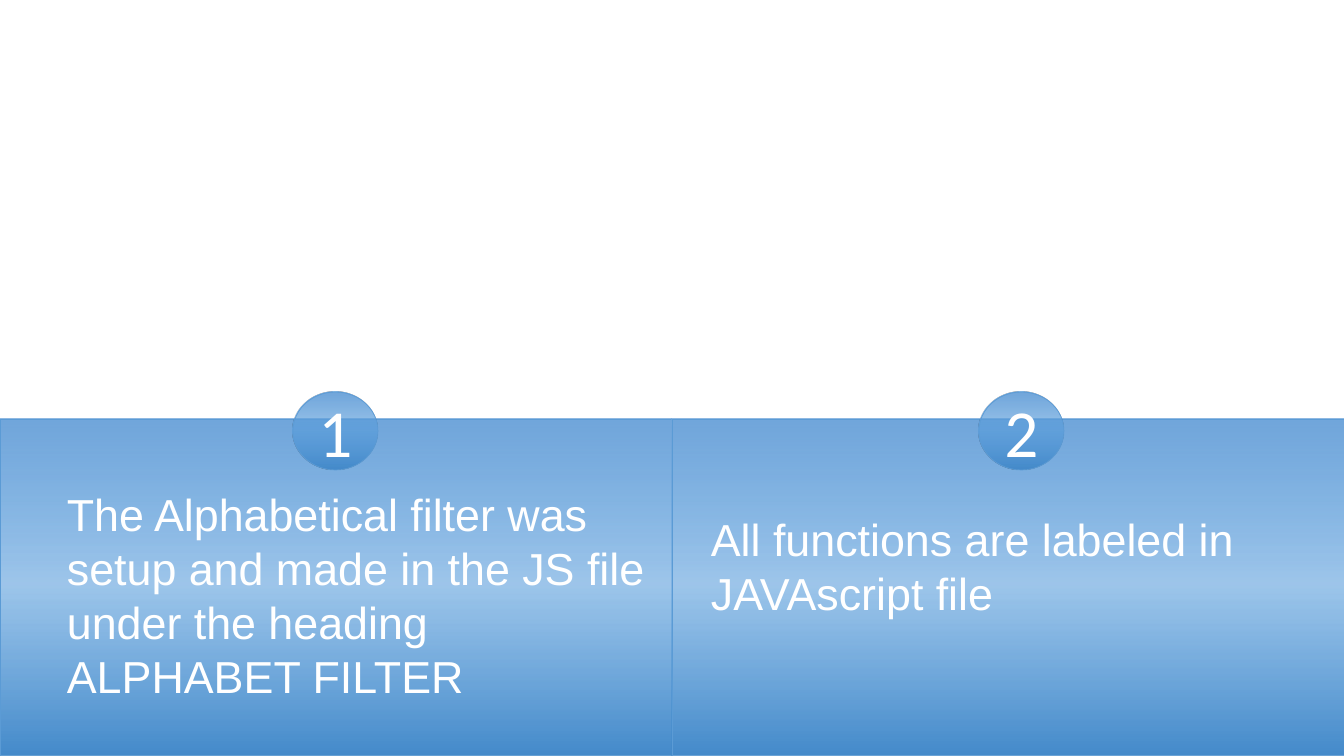
from lxml.etree import SubElement
from pptx import Presentation
from pptx.dml.color import RGBColor
from pptx.enum.shapes import MSO_SHAPE
from pptx.enum.text import MSO_ANCHOR, MSO_AUTO_SIZE, PP_ALIGN
from pptx.oxml.ns import qn
from pptx.util import Emu, Pt

WIDTH, HEIGHT = 1344, 756
SCALE = 12192000 / WIDTH
GRADIENT = [(0, "71A6DB", 100), (49, "559BDB", 57), (100, "448ACA", 100)]

PANEL_TOP = 419
PANEL_WIDTH = WIDTH // 2
BADGE_TOP, BADGE_WIDTH, BADGE_HEIGHT = 392, 85, 78
BADGES = [("1", 293), ("2", 979)]
NOTES = [
    ("The Alphabetical filter was setup and made in the JS file under the heading ALPHABET FILTER",
     (57, 482, 614, 228)),
    ("All functions are labeled in JAVAscript file", (701, 507, 690, 119)),
]


def add_gradient_shape(page, kind, *frame):
    """Add a shape with the blue vertical gradient; frame is left, top, width, height in px."""
    shape = page.shapes.add_shape(kind, *[Emu(round(px * SCALE)) for px in frame])
    shape.shadow.inherit = False
    shape.fill.gradient()
    shape.fill.gradient_angle = 270
    stops = shape.element.spPr.find(qn("a:gradFill")).find(qn("a:gsLst"))
    stops.clear()
    for position, color, opacity in GRADIENT:
        stop = SubElement(stops, qn("a:gs"), pos=str(position * 1000))
        rgb = SubElement(stop, qn("a:srgbClr"), val=color)
        if opacity < 100:
            SubElement(rgb, qn("a:alpha"), val=str(opacity * 1000))
    shape.line.color.rgb = RGBColor.from_string("5B9BD5")
    shape.line.width = Pt(0.5)
    return shape


def write_text(frame, text, font, size, align):
    para = frame.paragraphs[0]
    para.alignment = align
    span = para.add_run()
    span.text = text
    for name, value in {"name": font, "size": Pt(size)}.items():
        setattr(span.font, name, value)
    span.font.color.rgb = RGBColor.from_string("FFFFFF")


deck = Presentation()
deck.slide_width = Emu(round(WIDTH * SCALE))
deck.slide_height = Emu(round(HEIGHT * SCALE))
page = deck.slides.add_slide(deck.slide_layouts[6])

for column in range(2):
    add_gradient_shape(page, MSO_SHAPE.RECTANGLE, column * PANEL_WIDTH, PANEL_TOP,
                       PANEL_WIDTH, HEIGHT - PANEL_TOP)

for number, left in BADGES:
    badge = add_gradient_shape(page, MSO_SHAPE.OVAL, left, BADGE_TOP, BADGE_WIDTH, BADGE_HEIGHT)
    badge.text_frame.vertical_anchor = MSO_ANCHOR.MIDDLE
    write_text(badge.text_frame, number, "Calibri", 48, PP_ALIGN.CENTER)

for note, frame in NOTES:
    box = page.shapes.add_textbox(*[Emu(round(px * SCALE)) for px in frame])
    box.text_frame.word_wrap = True
    box.text_frame.auto_size = MSO_AUTO_SIZE.SHAPE_TO_FIT_TEXT
    write_text(box.text_frame, note, "Arial", 32, PP_ALIGN.LEFT)

deck.save("out.pptx")
